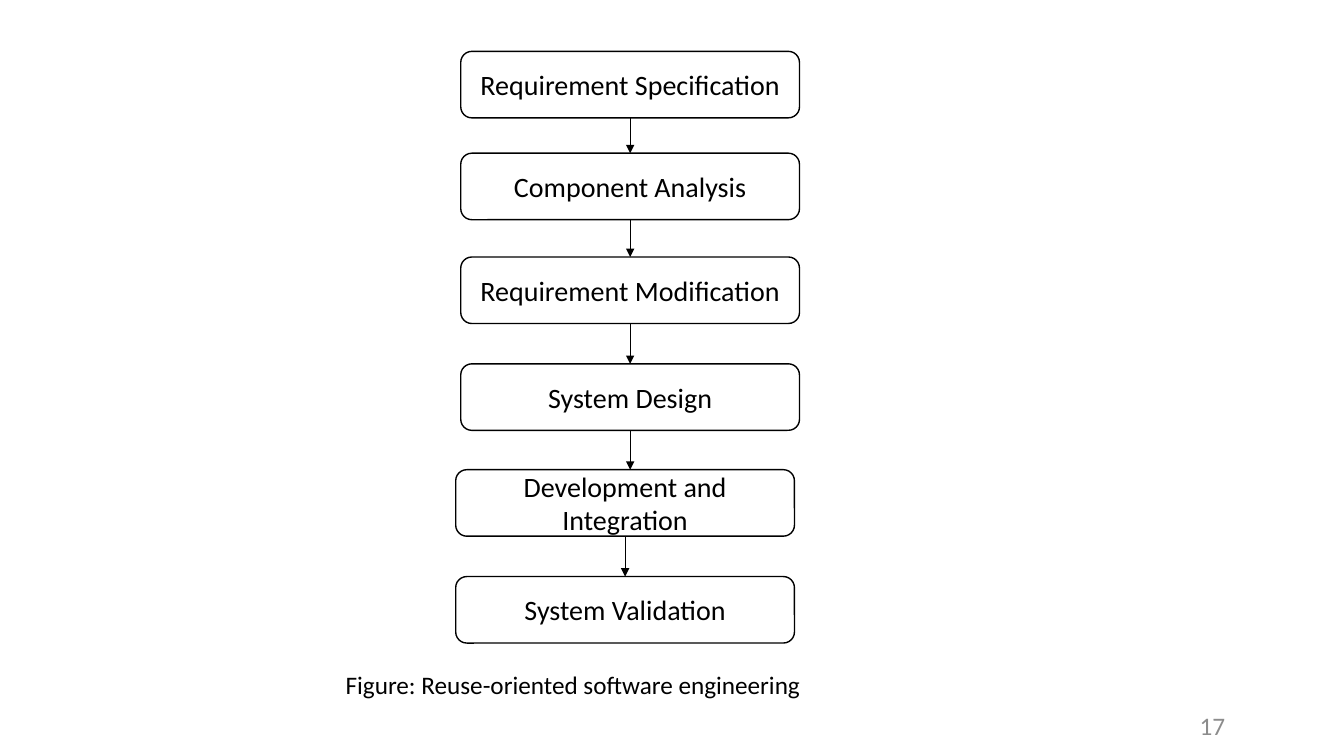
from dataclasses import dataclass
from itertools import pairwise

from lxml.etree import SubElement
from pptx import Presentation
from pptx.dml.color import RGBColor
from pptx.enum.shapes import MSO_CONNECTOR, MSO_SHAPE
from pptx.enum.text import MSO_ANCHOR, PP_ALIGN
from pptx.oxml.ns import qn
from pptx.util import Emu, Pt

PX = 9144  # EMU per px, 100 px to the inch
BOTTOM, TOP = 2, 0


@dataclass(frozen=True)
class Theme:
    font: str = "Calibri"
    ink: RGBColor = RGBColor(0, 0, 0)
    paper: RGBColor = RGBColor(255, 255, 255)
    grey: RGBColor = RGBColor(0x8C, 0x8C, 0x8C)
    step: int = 20
    small: int = 18
    edge: float = 1
    arrow: float = 0.5


def px(*sizes):
    return [Emu(size * PX) for size in sizes]


def write(frame, text, *, font, size, color, align=PP_ALIGN.LEFT, anchor=MSO_ANCHOR.TOP):
    frame.word_wrap = True
    frame.vertical_anchor = anchor
    para = frame.paragraphs[0]
    para.alignment = align
    run = para.add_run()
    run.text = text
    run.font.name = font
    run.font.size = Pt(size)
    run.font.color.rgb = color


class Canvas:
    def __init__(self, slide, theme):
        self.shapes = slide.shapes
        self.theme = theme

    def label(self, text, box, color, **style):
        shape = self.shapes.add_textbox(*px(*box))
        write(shape.text_frame, text, font=self.theme.font,
              size=self.theme.small, color=color, **style)

    def step(self, text, box):
        theme = self.theme
        shape = self.shapes.add_shape(MSO_SHAPE.ROUNDED_RECTANGLE, *px(*box))
        shape.shadow.inherit = False
        shape.fill.solid()
        shape.fill.fore_color.rgb = theme.paper
        shape.line.color.rgb = theme.ink
        shape.line.width = Pt(theme.edge)
        write(shape.text_frame, text, font=theme.font, size=theme.step,
              color=theme.ink, align=PP_ALIGN.CENTER, anchor=MSO_ANCHOR.MIDDLE)
        return shape

    def arrow(self, start, end):
        """Drop straight down from one step to the next, joined where centred."""
        mid = start.left + start.width // 2
        line = self.shapes.add_connector(
            MSO_CONNECTOR.STRAIGHT, mid, start.top + start.height, mid, end.top)
        line.begin_connect(start, BOTTOM)
        if end.left == start.left:
            line.end_connect(end, TOP)
        line.line.color.rgb = self.theme.ink
        line.line.width = Pt(self.theme.arrow)
        SubElement(line.line._get_or_add_ln(), qn("a:tailEnd"), type="triangle")
        SubElement(line._element.spPr, qn("a:effectLst"))


STEPS = [
    ("Requirement Specification", 457, 51),
    ("Component Analysis", 457, 152),
    ("Requirement Modification", 457, 255),
    ("System Design", 457, 361),
    ("Development and Integration", 452, 466),
    ("System Validation", 452, 572),
]
WIDTH, HEIGHT = 336, 66


def main():
    deck = Presentation()
    deck.slide_width, deck.slide_height = px(1333, 750)
    theme = Theme()
    canvas = Canvas(deck.slides.add_slide(deck.slide_layouts[6]), theme)

    steps = [canvas.step(text, (left, top, WIDTH, HEIGHT)) for text, left, top in STEPS]
    for start, end in pairwise(steps):
        canvas.arrow(start, end)

    canvas.label("Figure: Reuse-oriented software engineering",
                 (333, 659, 667, 40), theme.ink)
    canvas.label("17", (942, 704, 283, 31), theme.grey,
                 align=PP_ALIGN.RIGHT, anchor=MSO_ANCHOR.MIDDLE)
    deck.save("out.pptx")


if __name__ == "__main__":
    main()
